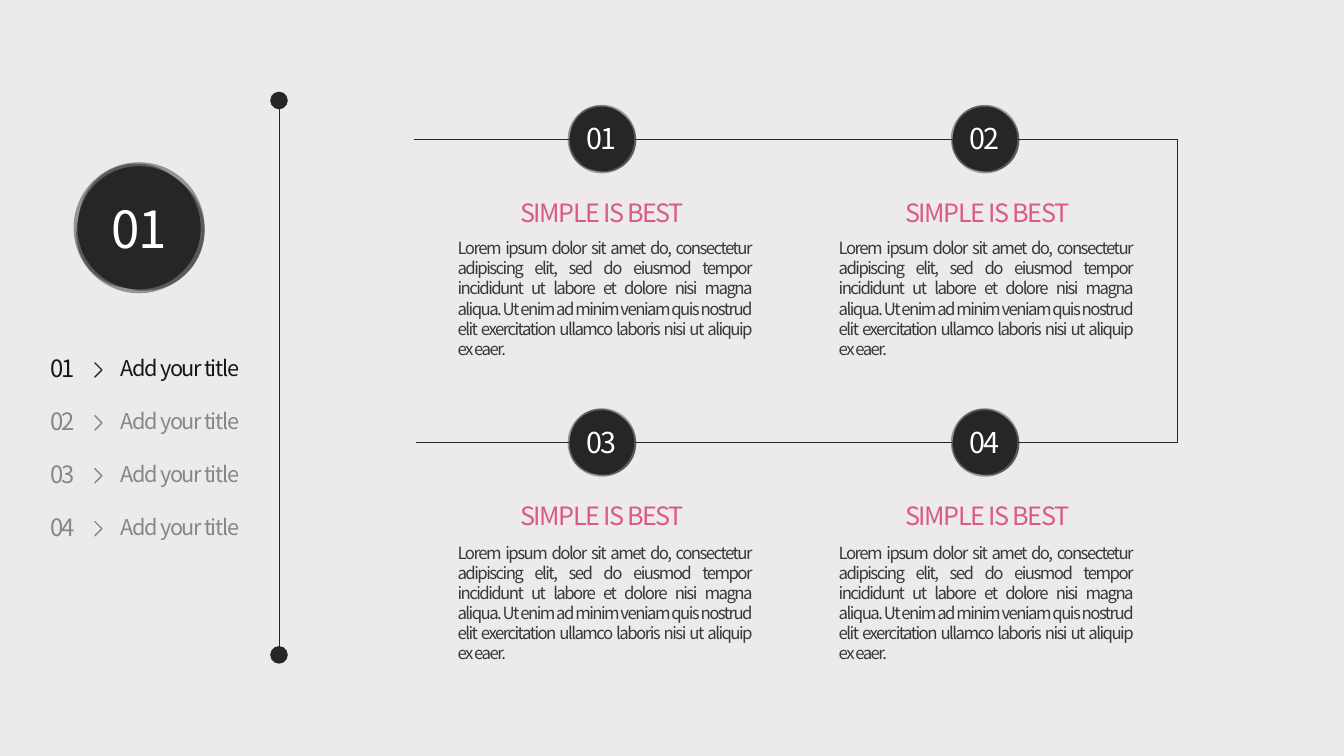
from lxml import etree
from pptx import Presentation
from pptx.dml.color import RGBColor
from pptx.enum.shapes import MSO_CONNECTOR, MSO_SHAPE
from pptx.enum.text import MSO_ANCHOR, MSO_AUTO_SIZE, PP_ALIGN
from pptx.oxml.ns import qn
from pptx.util import Inches, Pt

LEFT, CENTER, JUSTIFY = PP_ALIGN.LEFT, PP_ALIGN.CENTER, PP_ALIGN.JUSTIFY
TOP, MIDDLE = MSO_ANCHOR.TOP, MSO_ANCHOR.MIDDLE
OVAL, CHEVRON = MSO_SHAPE.OVAL, MSO_SHAPE.HALF_FRAME
FONT = "Noto Sans CJK KR"
INK, HALO, ACTIVE, MUTED = "262626", "404040", "101919", "888688"
PINK, BODY, WHITE, PAPER = "DB5A7F", "3A3838", "FFFFFF", "ECEAEB"

# Content
SECTION = "01"
AGENDA = [(number, "Add your title") for number in ("01", "02", "03", "04")]
HEADING = "SIMPLE IS BEST"
LOREM = ("Lorem ipsum dolor sit amet do, consectetur adipiscing elit, sed do "
         "eiusmod tempor incididunt ut labore et dolore nisi magna aliqua. Ut "
         "enim ad minim veniam quis nostrud elit exercitation ullamco laboris "
         "nisi ut aliquip ex eaer.")
STEPS = [(number, HEADING, LOREM) for number in ("01", "02", "03", "04")]

# Grid, in inches
AGENDA_HEIGHT = 2.1
AGENDA_PITCH = AGENDA_HEIGHT / len(AGENDA)
CHEVRON_SIZE = 0.1
AXIS_X, AXIS_TOP, AXIS_BOTTOM, DOT = 2.77, 1.0, 6.5, 0.18
STEP_X, STEP_Y, COLUMN_PITCH, ROW_PITCH = 5.97, 1.38, 3.8, 3.01
BADGE = 0.68
TRACK = [(4.11, STEP_Y), (11.68, STEP_Y),
         (11.68, STEP_Y + ROW_PITCH), (4.13, STEP_Y + ROW_PITCH)]
# Badge rings as shares of its size: left, top, diameter, colour, opacity %
RINGS = [(0, 0, 1, HALO, 50), (0.08, 0.06, 0.92, HALO, 70),
         (0.04, 0.01, 0.88, HALO, 70), (0.02, 0.13, 0.83, HALO, 70),
         (0.03, 0.03, 0.94, INK, 100)]
DOT_RINGS = [(0, 0, 0.97, INK, 100)]

# Text formats; "spacing" is the letter spacing in points
SECTION_TEXT = dict(size=36.5, color=WHITE, spacing=-1.5, align=CENTER,
                    line=0.9, anchor=MIDDLE, wrap=False)
BADGE_TEXT = dict(SECTION_TEXT, size=20.5)
AGENDA_NUMBER = dict(size=17, color=MUTED, spacing=-1.5, align=LEFT,
                     line=Pt(AGENDA_PITCH * 72), anchor=TOP, wrap=True, inset=0)
AGENDA_TITLE = dict(AGENDA_NUMBER, size=15.5, spacing=-1)
HEADING_TEXT = dict(size=18, color=PINK, spacing=-1, align=LEFT,
                    line=1.0, anchor=TOP, wrap=False)
BODY_TEXT = dict(HEADING_TEXT, size=12, color=BODY, spacing=-1.1,
                 align=JUSTIFY, wrap=True)


def rgb(value):
    """Turn a hex string into a colour."""
    return RGBColor.from_string(value)


def place(shape, left, top, width, height):
    """Move and size a shape, in inches."""
    box = dict(left=left, top=top, width=width, height=height)
    for name, value in box.items():
        setattr(shape, name, Inches(value))


def write(shape, lines, style):
    """Write one paragraph per line, without bullets, in the given style."""
    frame = shape.text_frame
    settings = dict(text="\n".join(lines), word_wrap=style["wrap"],
                    auto_size=MSO_AUTO_SIZE.NONE, vertical_anchor=style["anchor"])
    if "inset" in style:
        for side in ("left", "top", "right", "bottom"):
            settings["margin_" + side] = Inches(style["inset"])
    for name, value in settings.items():
        setattr(frame, name, value)
    for paragraph in frame.paragraphs:
        layout = dict(alignment=style["align"], line_spacing=style["line"],
                      space_before=Pt(0), space_after=Pt(0))
        for name, value in layout.items():
            setattr(paragraph, name, value)
        properties = paragraph._p.get_or_add_pPr()
        properties.set("marL", "0")
        properties.set("indent", "0")
        etree.SubElement(properties, qn("a:buNone"))
        for run in paragraph.runs:
            run.font.name, run.font.size = FONT, Pt(style["size"])
            run.font.color.rgb = rgb(style["color"])
            run._r.get_or_add_rPr().set("spc", str(round(style["spacing"] * 100)))


def add_text(slide, text, box, style):
    """Add a text box."""
    write(slide.shapes.add_textbox(*map(Inches, box)), [text], style)


def add_rings(shapes, center_x, center_y, size, rings):
    """Add discs given as shares of a square around a centre."""
    left, top = center_x - size / 2, center_y - size / 2
    for ring_left, ring_top, diameter, color, opacity in rings:
        box = (left + ring_left * size, top + ring_top * size,
               diameter * size, diameter * size)
        ring = shapes.add_shape(OVAL, *map(Inches, box))
        ring.shadow.inherit = False
        ring.fill.solid()
        ring.fill.fore_color.rgb = rgb(color)
        ring.line.fill.background()
        if opacity < 100:
            fill = ring.element.spPr.find(qn("a:solidFill"))
            etree.SubElement(fill[0], qn("a:alpha"), val=str(opacity * 1000))


def add_badge(slide, center_x, center_y, size):
    """Add a group of overlapping rings around a dark disc."""
    add_rings(slide.shapes.add_group_shape().shapes, center_x, center_y, size, RINGS)


def add_axis(slide):
    """Add the vertical divider with a dot at each end."""
    axis = slide.shapes.add_connector(
        MSO_CONNECTOR.STRAIGHT, *map(Inches, (AXIS_X, AXIS_TOP, AXIS_X, AXIS_BOTTOM)))
    axis.line.color.rgb, axis.line.width = rgb(INK), Pt(0.5)
    etree.SubElement(axis.element.spPr, qn("a:effectLst"))
    for end in (AXIS_TOP, AXIS_BOTTOM):
        add_rings(slide.shapes, AXIS_X, end, DOT, DOT_RINGS)


def add_agenda(slide, number_list, title_list):
    """Fill the two agenda lists and set a chevron between them in each row."""
    columns = [(number_list, 0.5, 3.27, 0.4, AGENDA_NUMBER),
               (title_list, 1.2, 3.25, 1.5, AGENDA_TITLE)]
    for (shape, left, top, width, style), lines in zip(columns, zip(*AGENDA)):
        place(shape, left, top, width, AGENDA_HEIGHT)
        write(shape, lines, style)
        for run in shape.text_frame.paragraphs[0].runs:
            run.font.color.rgb = rgb(ACTIVE)
    for row in range(len(AGENDA)):
        box = (0.89, 3.62 + row * AGENDA_PITCH, CHEVRON_SIZE, CHEVRON_SIZE)
        chevron = slide.shapes.add_shape(CHEVRON, *map(Inches, box))
        chevron.adjustments[0] = chevron.adjustments[1] = 0
        chevron.rotation = 135
        chevron.shadow.inherit = False
        chevron.fill.background()
        chevron.line.color.rgb = rgb(MUTED if row else INK)
        chevron.line.width = Pt(1)


def add_track(slide):
    """Add the open line that links the four steps."""
    points = [(Inches(x), Inches(y)) for x, y in TRACK]
    builder = slide.shapes.build_freeform(*points[0])
    builder.add_line_segments(points[1:], close=False)
    track = builder.convert_to_shape()
    track.shadow.inherit = False
    track.fill.background()
    track.line.color.rgb, track.line.width = rgb(INK), Pt(0.5)


def add_step(slide, index, number, heading, body):
    """Add one step of the two-by-two grid."""
    row, column = divmod(index, 2)
    x, y = STEP_X + column * COLUMN_PITCH, STEP_Y + row * ROW_PITCH
    add_badge(slide, x, y, BADGE)
    add_text(slide, number, (x - 0.26, y - 0.19, 0.51, 0.41), BADGE_TEXT)
    add_text(slide, heading, (5.06 + column * 3.82, 1.91 + row * 3, 1.87, 0.4), HEADING_TEXT)
    add_text(slide, body, (4.44 + column * 3.78, 2.31 + row * 3.02, 3.11, 1.11), BODY_TEXT)


presentation = Presentation()
presentation.slide_width, presentation.slide_height = Inches(13.33), Inches(7.5)
slide = presentation.slides.add_slide(presentation.slide_layouts.get_by_name("Two Content"))
slide.background.fill.solid()
slide.background.fill.fore_color.rgb = rgb(PAPER)
title, number_list, title_list = list(slide.placeholders)[:3]

add_axis(slide)
add_badge(slide, 1.38, 2.26, 1.3)
place(title, 0.99, 2.06, 0.78, 0.48)
write(title, [SECTION], SECTION_TEXT)
slide.shapes.element.append(title.element)  # bring the number in front of its badge
add_agenda(slide, number_list, title_list)
add_track(slide)
for index, step in enumerate(STEPS):
    add_step(slide, index, *step)

presentation.save("out.pptx")
